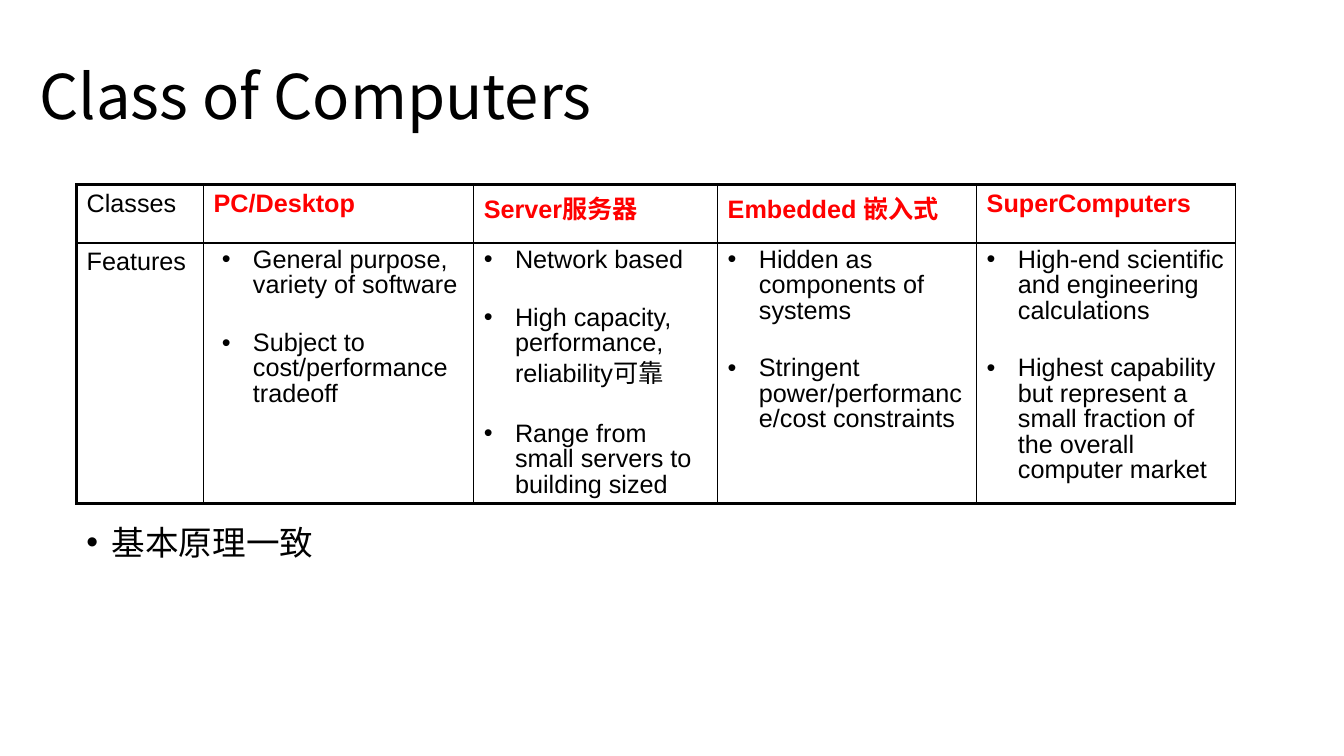
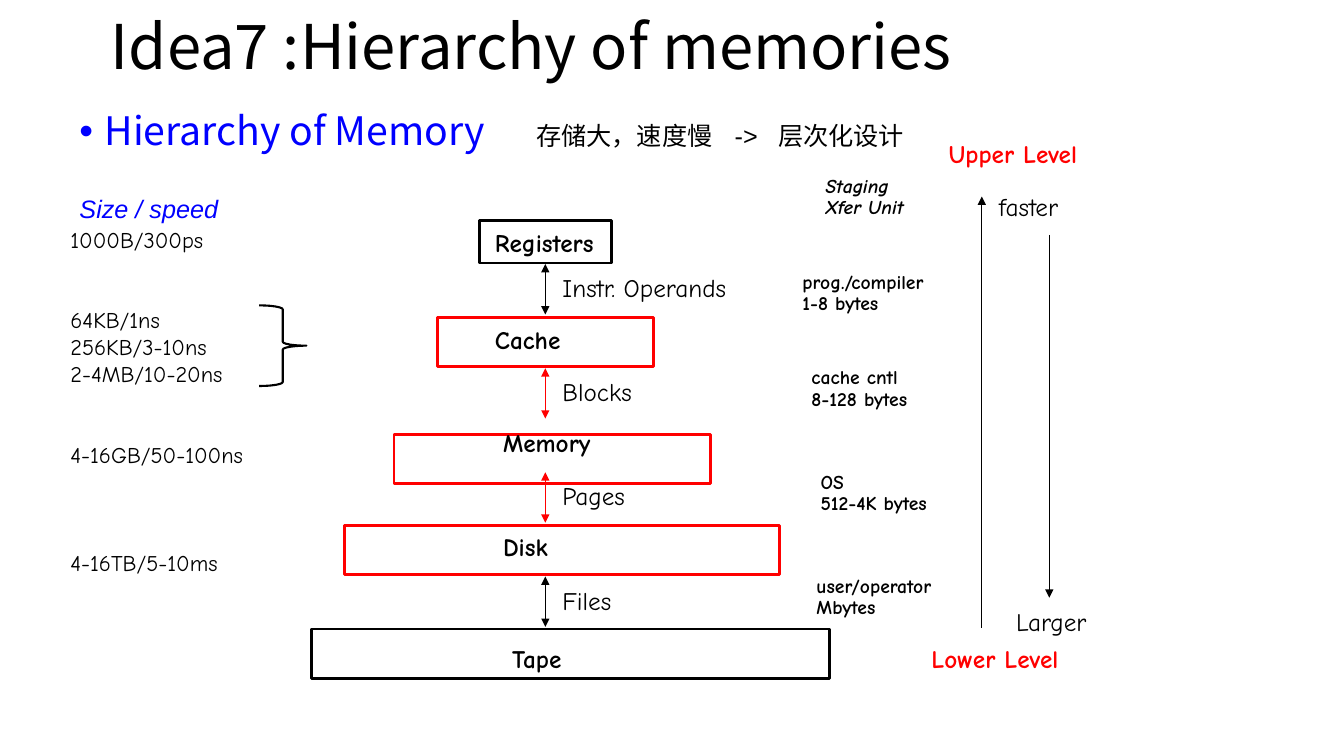
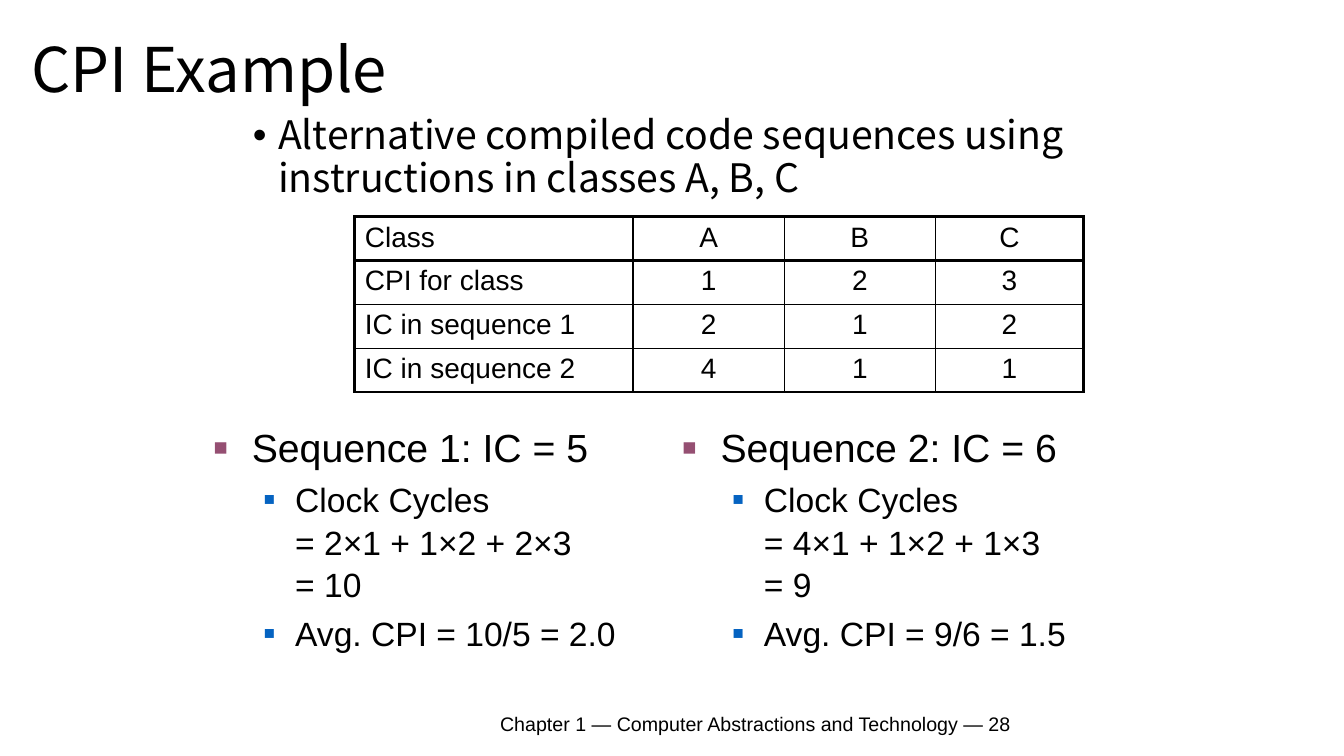
from dataclasses import dataclass
from typing import Optional

from lxml import etree
from pptx import Presentation
from pptx.dml.color import RGBColor
from pptx.enum.shapes import MSO_CONNECTOR, MSO_SHAPE
from pptx.enum.text import MSO_ANCHOR, MSO_AUTO_SIZE, PP_ALIGN
from pptx.oxml.ns import qn
from pptx.util import Inches, Pt

# Shared look
RECTANGLE, BRACE = MSO_SHAPE.RECTANGLE, MSO_SHAPE.RIGHT_BRACE
STRAIGHT = MSO_CONNECTOR.STRAIGHT
TOP, MIDDLE = MSO_ANCHOR.TOP, MSO_ANCHOR.MIDDLE
FIXED, GROW = MSO_AUTO_SIZE.NONE, MSO_AUTO_SIZE.SHAPE_TO_FIT_TEXT
LEFT, CENTER = PP_ALIGN.LEFT, PP_ALIGN.CENTER
BLACK, RED, BLUE = "000000", "FF0000", "0000FF"
PLUM, AZURE = "954F72", "0563C1"
SANS, HAND, CJK = "Arial", "Comic Neue", "Noto Sans CJK SC"
THIN, THICK = 1, 2.25
CELLS_PER_INCH = 10  # the slide is a grid of square cells
PAGE_COLUMNS, PAGE_ROWS = 133.33, 75


@dataclass
class Box:
    left: float
    top: float
    width: float
    height: float


@dataclass
class Bullet:
    mark: str
    margin: float
    hang: float
    color: Optional[str] = None
    percent: int = 100


@dataclass
class Label:
    text: str
    left: float
    top: float
    width: float
    color: str = BLACK
    bold: bool = False


@dataclass
class Level:
    name: str
    frame: Box
    color: str
    label: Box


@dataclass
class Sequence:
    left: float
    heading: str
    cycles: str
    average: str


DOT = Bullet("•", 2.5, 2.5)
CELL_DOT = Bullet("•", 3.1, 3.1)
SHIFTED_DOT = Bullet("•", 3.9, 3.1)
MAIN_SQUARE = Bullet("■", 3.8, 3.8, PLUM, 60)
SUB_SQUARE = Bullet("■", 8.1, 3.1, AZURE, 55)


def grid(cells: float) -> int:
    return Inches(cells / CELLS_PER_INCH)


def rgb(color: str) -> RGBColor:
    return RGBColor.from_string(color)


def place(box: Box) -> tuple:
    return grid(box.left), grid(box.top), grid(box.width), grid(box.height)


def child(parent, tag: str, **attributes):
    return etree.SubElement(parent, qn(tag), **attributes)


# Text
def set_bullet(para, bullet: Bullet) -> None:
    properties = para._p.get_or_add_pPr()
    properties.set("marL", str(grid(bullet.margin)))
    properties.set("indent", str(-grid(bullet.hang)))
    if bullet.color:
        child(child(properties, "a:buClr"), "a:srgbClr", val=bullet.color)
    child(properties, "a:buSzPct", val=str(bullet.percent * 1000))
    child(properties, "a:buFont", typeface=SANS)
    child(properties, "a:buChar", char=bullet.mark)


def write(frame, text: str, size: float, font: str = SANS, color: str = BLACK,
          bold: bool = False, italic: bool = False, align=LEFT,
          spacing: Optional[float] = None, before: float = 0,
          bullet: Optional[Bullet] = None, tabs: tuple = ()) -> None:
    para = frame.add_paragraph() if frame.text else frame.paragraphs[0]
    para.text = text
    para.alignment = align
    para.space_before = Pt(before)
    if spacing:
        para.line_spacing = spacing
    if bullet:
        set_bullet(para, bullet)
    if tabs:
        stops = child(para._p.get_or_add_pPr(), "a:tabLst")
        for stop in tabs:
            child(stops, "a:tab", pos=str(grid(stop)), algn="l")
    for span in para.runs:
        span.font.size = Pt(size)
        span.font.name = font
        span.font.bold = bold
        span.font.italic = italic
        span.font.color.rgb = rgb(color)
        child(span._r.get_or_add_rPr(), "a:ea", typeface=CJK)


def add_text(page, box: Box, anchor=TOP, wrap: bool = True, fit=FIXED,
             tight: bool = False):
    frame = page.shapes.add_textbox(*place(box)).text_frame
    frame.word_wrap = wrap
    frame.auto_size = fit
    frame.vertical_anchor = anchor
    if tight:
        frame.margin_left = frame.margin_right = grid(0.7)
        frame.margin_top = frame.margin_bottom = grid(0.3)
    return frame


def add_page(deck, title: str, box: Box):
    page = deck.slides.add_slide(deck.slide_layouts[5])
    holder = page.shapes.title
    holder.left, holder.top, holder.width, holder.height = place(box)
    frame = holder.text_frame
    frame.word_wrap = True
    frame.auto_size = FIXED
    frame.vertical_anchor = MIDDLE
    write(frame, title, 44, font=CJK, spacing=0.9)
    return page


def add_body(page, box: Box, text: str, size: float, color: str = BLACK) -> None:
    write(add_text(page, box), text, size, font=CJK, color=color,
          spacing=0.9, before=10, bullet=DOT)


# Lines, outlines and tables
def add_outline(page, preset, box: Box, color: str, width: float) -> None:
    shape = page.shapes.add_shape(preset, *place(box))
    shape.shadow.inherit = False
    shape.fill.background()
    shape.line.color.rgb = rgb(color)
    shape.line.width = Pt(width)


def add_arrow(page, column: float, start: float, end: float,
              color: str = BLACK, both_ends: bool = False) -> None:
    arrow = page.shapes.add_connector(
        STRAIGHT, grid(column), grid(start), grid(column), grid(end))
    arrow.line.color.rgb = rgb(color)
    arrow.line.width = Pt(1)
    line = arrow.line._get_or_add_ln()
    if both_ends:
        child(line, "a:headEnd", type="triangle")
    child(line, "a:tailEnd", type="triangle")
    child(arrow._element.spPr, "a:effectLst")


def add_borders(cell, widths: dict) -> None:
    properties = cell._tc.get_or_add_tcPr()
    for side, width in widths.items():
        line = child(properties, f"a:ln{side}", w=str(Pt(width)))
        child(child(line, "a:solidFill"), "a:srgbClr", val=BLACK)
    cell.fill.background()


def add_grid_table(page, box: Box, columns: list, rows: list,
                   right: float, header: float):
    table = page.shapes.add_table(len(rows), len(columns), *place(box)).table
    table.first_row = table.horz_banding = False
    for column, width in zip(table.columns, columns):
        column.width = grid(width)
    for row, height in zip(table.rows, rows):
        row.height = grid(height)
    across = [THICK] + [THIN] * (len(columns) - 1) + [right]
    down = [THICK, header] + [THIN] * (len(rows) - 2) + [THICK]
    for r in range(len(rows)):
        for c in range(len(columns)):
            add_borders(table.cell(r, c), {"L": across[c], "R": across[c + 1],
                                           "T": down[r], "B": down[r + 1]})
    return table


# Slide: classes of computers
CLASS_FEATURES = {
    "PC/Desktop": ["General purpose, variety of software",
                   "Subject to cost/performance tradeoff"],
    "Server服务器": ["Network based",
                  "High capacity, performance, reliability可靠",
                  "Range from small servers to building sized"],
    "Embedded 嵌入式": ["Hidden as components of systems",
                     "Stringent power/performance/cost constraints"],
    "SuperComputers": ["High-end scientific and engineering calculations",
                       "Highest capability but represent a small fraction "
                       "of the overall computer market"],
}


def build_classes(deck) -> None:
    page = add_page(deck, "Class of Computers", Box(2.9, 2.6, 115, 14.5))
    add_body(page, Box(7.6, 51.7, 27.6, 5.1), "基本原理一致", 24)
    table = add_grid_table(page, Box(7.6, 18.3, 115, 31.1),
                           [12.6, 26.8, 24.2, 25.7, 25.7], [5.8, 25.3],
                           right=THIN, header=THIN)
    for r, name in enumerate(["Classes", "Features"]):
        write(table.cell(r, 0).text_frame, name, 18)
    for c, (name, features) in enumerate(CLASS_FEATURES.items(), start=1):
        write(table.cell(0, c).text_frame, name, 18, color=RED, bold=True)
        for position, feature in enumerate(features):
            write(table.cell(1, c).text_frame, feature, 18, spacing=0.9,
                  before=23.2 if position else 0,
                  bullet=SHIFTED_DOT if c == 1 else CELL_DOT)


# Slide: memory hierarchy
LEVELS = [
    Level("Registers", Box(47.6, 21.9, 13.1, 4.2), BLACK, Box(48.4, 22.7, 12.7, 3.1)),
    Level("Cache", Box(43.4, 31.5, 21.4, 4.9), RED, Box(48.4, 32.3, 8.5, 3.1)),
    Level("Memory", Box(39.1, 43.1, 31.4, 4.9), RED, Box(49.2, 42.6, 10.9, 3.1)),
    Level("Disk", Box(34.2, 52.1, 43.1, 4.9), RED, Box(49.2, 52.9, 6.5, 3.1)),
    Level("Tape", Box(30.9, 62.4, 51.4, 4.9), BLACK, Box(50.1, 64, 7.3, 3.1)),
]
TRANSFERS = [("Instr. Operands", BLACK, 20.2), ("Blocks", RED, 8.8),
             ("Pages", RED, 7.9), ("Files", BLACK, 6.9)]
TRANSFER_COLUMN, TRANSFER_TOP, TRANSFER_STEP = 54.1, 26.2, 10.33
STAGING_UNITS = [
    Label("Staging\nXfer Unit", 81.2, 17.2, 10.6),
    Label("prog./compiler\n1-8 bytes", 78.9, 26.7, 15.1),
    Label("cache cntl\n8-128 bytes", 79.8, 36.2, 13.3),
    Label("OS\n512-4K bytes", 80.7, 46.6, 14.5),
    Label("user/operator\nMbytes", 80.3, 56.9, 14.4),
]
SCALE_LABELS = [
    Label("Upper Level", 93.4, 13.9, 15.8, RED, True),
    Label("Lower Level", 91.7, 64, 15.7, RED, True),
    Label("faster", 98.4, 19.1, 8.9),
    Label("Larger", 100.1, 60.3, 9.2),
]
# Each size with the number of line heights left free above it
SIZES = [("1000B/300ps", 0), ("64KB/1ns", 2), ("256KB/3-10ns", 0),
         ("2-4MB/10-20ns", 0), ("4-16GB/50-100ns", 2), ("4-16TB/5-10ms", 3)]
SIZE_LINE = 19.3


def add_label(page, label: Label) -> None:
    frame = add_text(page, Box(label.left, label.top, label.width, 3.1),
                     wrap=False, fit=GROW, tight=True)
    write(frame, label.text, 18, font=HAND, color=label.color,
          bold=label.bold, spacing=0.85)


def build_hierarchy(deck) -> None:
    page = add_page(deck, "Idea7 :Hierarchy of memories", Box(10, 0, 120.2, 9.8))
    add_body(page, Box(6.9, 10.6, 121.1, 55.8), "Hierarchy of Memory", 28, BLUE)

    # Levels and the transfers between them
    for level in LEVELS:
        add_outline(page, RECTANGLE, level.frame, level.color, 2)
        add_label(page, Label(level.name, level.label.left, level.label.top,
                              level.label.width, bold=True))
    for position, (name, color, width) in enumerate(TRANSFERS):
        top = TRANSFER_TOP + position * TRANSFER_STEP
        add_arrow(page, TRANSFER_COLUMN, top, top + 5, color, both_ends=True)
        add_label(page, Label(name, TRANSFER_COLUMN + 1, top + 1, width))

    # Staging units
    for position, unit in enumerate(STAGING_UNITS):
        frame = add_text(page, Box(unit.left, unit.top, unit.width, 4.8),
                         wrap=False, fit=GROW, tight=True)
        for line in unit.text.split("\n"):
            write(frame, line, 14, font=HAND, bold=True,
                  italic=position == 0, spacing=0.9)

    # Speed and size scale
    for label in SCALE_LABELS:
        add_label(page, label)
    add_arrow(page, 97.4, 62.3, 19.5)
    add_arrow(page, 104.1, 23.3, 59.3)

    # Sizes and speeds
    frame = add_text(page, Box(6.9, 18.7, 15.9, 4), wrap=False, fit=GROW)
    write(frame, "Size / speed", 18, color=BLUE, italic=True)
    frame = add_text(page, Box(6, 21.9, 27.5, 36), fit=GROW)
    for size, free_lines in SIZES:
        write(frame, size, 16, font=HAND, before=free_lines * SIZE_LINE)
    add_outline(page, BRACE, Box(25.7, 30.3, 4.7, 8), BLACK, 1.5)
    frame = add_text(page, Box(52.2, 11.4, 40.3, 4), fit=GROW)
    write(frame, "存储大，速度慢\t->\t层次化设计", 18, tabs=(19.7, 24))


# Slide: CPI example
CPI_ROWS = [
    ["Class", "A", "B", "C"],
    ["CPI for class", "1", "2", "3"],
    ["IC in sequence 1", "2", "1", "2"],
    ["IC in sequence 2", "4", "1", "1"],
]
SEQUENCES = [
    Sequence(20.2, "Sequence 1: IC = 5",
             "Clock Cycles\n= 2×1 + 1×2 + 2×3\n= 10", "Avg. CPI = 10/5 = 2.0"),
    Sequence(66.7, "Sequence 2: IC = 6",
             "Clock Cycles\n= 4×1 + 1×2 + 1×3\n= 9", "Avg. CPI = 9/6 = 1.5"),
]


def build_cpi(deck) -> None:
    page = add_page(deck, "CPI Example", Box(2.1, -0.1, 41.7, 14.5))
    add_body(page, Box(24.1, 11, 90.5, 10.9), "Alternative compiled code "
             "sequences using instructions in classes A, B, C", 28)
    frame = add_text(page, Box(35.2, 69.8, 79.5, 3.9), anchor=MIDDLE)
    write(frame, "Chapter 1 — Computer Abstractions and Technology — 28", 14,
          align=CENTER)
    table = add_grid_table(page, Box(35.2, 21.5, 72.2, 17.4),
                           [27.6, 15, 15, 14.7], [4.35] * len(CPI_ROWS),
                           right=THICK, header=THICK)
    for r, values in enumerate(CPI_ROWS):
        for c, value in enumerate(values):
            write(table.cell(r, c).text_frame, value, 20,
                  align=CENTER if c else LEFT)
    for sequence in SEQUENCES:
        frame = add_text(page, Box(sequence.left, 41.3, 42.5, 22.8))
        write(frame, sequence.heading, 28, spacing=1.05, before=5.6,
              bullet=MAIN_SQUARE)
        for text in (sequence.cycles, sequence.average):
            write(frame, text, 24, spacing=1.05, before=4.8, bullet=SUB_SQUARE)


deck = Presentation()
deck.slide_width, deck.slide_height = grid(PAGE_COLUMNS), grid(PAGE_ROWS)
build_classes(deck)
build_hierarchy(deck)
build_cpi(deck)
deck.save("out.pptx")
